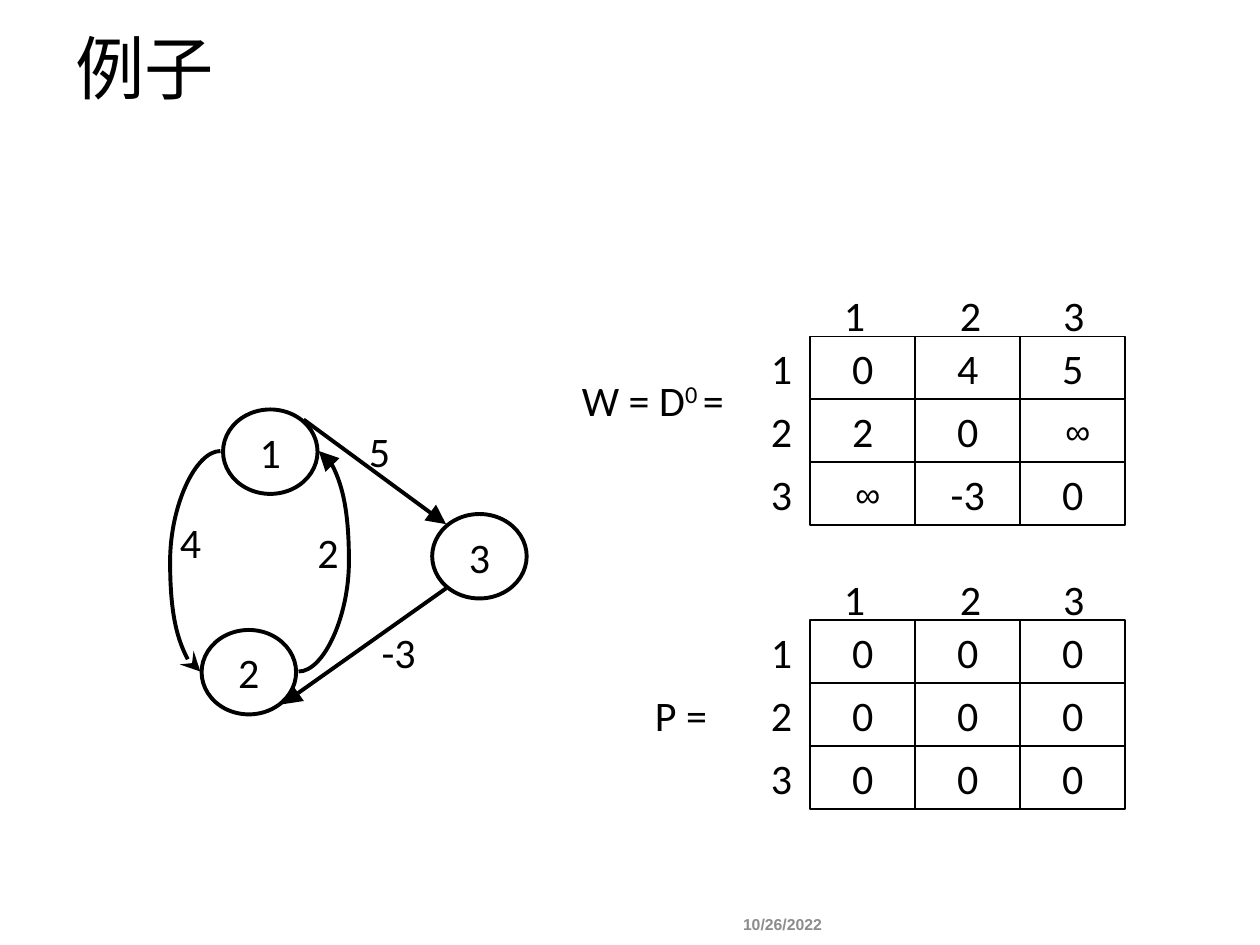
from lxml.etree import SubElement
from pptx import Presentation
from pptx.dml.color import RGBColor
from pptx.enum.shapes import MSO_CONNECTOR as LINK, MSO_SHAPE as SHAPE
from pptx.enum.text import MSO_ANCHOR as ANCHOR, PP_ALIGN as ALIGN
from pptx.oxml.ns import qn
from pptx.util import Inches, Pt

BLACK = RGBColor(0x00, 0x00, 0x00)
GRAY = RGBColor(0x8C, 0x8C, 0x8C)


def write(frame, text, size=24, font="Calibri", color=BLACK, bold=False,
          align=ALIGN.LEFT, anchor=ANCHOR.TOP, wrap=False, baseline=0):
    frame.word_wrap = wrap
    frame.vertical_anchor = anchor
    para = frame.paragraphs[0]
    para.alignment = align
    span = para.add_run()
    span.text = text
    span.font.size = Pt(size)
    span.font.name = font
    span.font.bold = bold
    span.font.color.rgb = color
    if baseline:
        span.font._element.set("baseline", str(baseline * 1000))
    return para


def draw_edge(kind, x1, y1, x2, y2, end, arrow):
    edge = page.shapes.add_connector(kind, Inches(x1), Inches(y1), Inches(x2), Inches(y2))
    edge.line.color.rgb = BLACK
    edge.line.width = Pt(2.25)
    SubElement(edge.line._get_or_add_ln(), qn(f"a:{end}End"), type=arrow, w="lg", len="lg")
    SubElement(edge._element.spPr, qn("a:effectLst"))
    return edge


deck = Presentation()
deck.slide_width = Inches(10)
deck.slide_height = Inches(7.5)
page = deck.slides.add_slide(deck.slide_layouts[6])

title = page.shapes.add_textbox(Inches(0.5), Inches(0.25), Inches(9), Inches(0.65))
heading = write(title.text_frame, "例子", size=39.6, anchor=ANCHOR.MIDDLE, wrap=True)
heading.line_spacing = 0.9

date = page.shapes.add_textbox(Inches(5.61), Inches(7.17), Inches(1.2), Inches(0.33))
write(date.text_frame, "10/26/2022", size=9, font="Arial", color=GRAY, bold=True,
      align=ALIGN.CENTER, anchor=ANCHOR.MIDDLE)

equation = page.shapes.add_textbox(Inches(4.52), Inches(2.92), Inches(1.47), Inches(0.5))
for text, baseline in [("W = D", 0), ("0 ", 30), ("=", 0)]:
    write(equation.text_frame, text, baseline=baseline)

labels = [
    ("P =", 5.1, 5.42, 0.66),
    ("5", 2.83, 3.33, 0.37),
    ("-3", 2.93, 4.92, 0.48),
    ("2", 2.42, 4.13, 0.37),
    ("4", 1.33, 4.05, 0.37),
]
outlined = [
    (SHAPE.OVAL, "1", 1.77, 3.25, 0.75, 0.67, 2.25),
    (SHAPE.OVAL, "2", 1.6, 5, 0.75, 0.67, 2.25),
    (SHAPE.OVAL, "3", 3.43, 4.08, 0.75, 0.67, 2.25),
]

matrices = [
    (2.67, [["0", "4", "5"], ["2", "0", "∞"], ["∞", "-3", "0"]]),
    (4.92, [["0"] * 3] * 3),
]
cell_width = 2.5 / 3
for matrix_top, rows in matrices:
    for index, left in enumerate([6.6, 7.52, 8.34]):
        number = str(index + 1)
        labels.append((number, left, matrix_top - 0.42, 0.37))
        labels.append((number, 6.02, matrix_top + 0.5 * index, 0.37))
    for row, values in enumerate(rows):
        for column, value in enumerate(values):
            outlined.append((SHAPE.RECTANGLE, value, 6.43 + cell_width * column,
                             matrix_top + 0.5 * row, cell_width, 0.5, 1))

for kind, text, left, top, width, height, weight in outlined:
    box = page.shapes.add_shape(kind, Inches(left), Inches(top), Inches(width), Inches(height))
    box.shadow.inherit = False
    box.fill.background()
    box.line.color.rgb = BLACK
    box.line.width = Pt(weight)
    infinite = text == "∞"
    if infinite:
        box.text_frame.margin_left = Inches(0.18)
    write(box.text_frame, text, size=20 if infinite else 24,
          font="Arial" if infinite else "Calibri",
          align=ALIGN.CENTER, anchor=ANCHOR.MIDDLE)

draw_edge(LINK.STRAIGHT, 2.41, 3.33, 3.54, 4.16, "tail", "triangle")
draw_edge(LINK.STRAIGHT, 3.54, 4.67, 2.24, 5.59, "tail", "triangle")

curves = [
    (1.59, 1.75, "head", "stealth", -150000),
    (2.37, 2.53, "tail", "triangle", 250000),
]
for start, finish, end, arrow, bend in curves:
    curve = draw_edge(LINK.CURVE, start, 5.33, finish, 3.58, end, arrow)
    guides = curve._element.spPr.find(qn("a:prstGeom")).get_or_add_avLst()
    SubElement(guides, qn("a:gd"), name="adj1", fmla=f"val {bend}")

for text, left, top, width in labels:
    label = page.shapes.add_textbox(Inches(left), Inches(top), Inches(width), Inches(0.5))
    write(label.text_frame, text)

deck.save("out.pptx")
